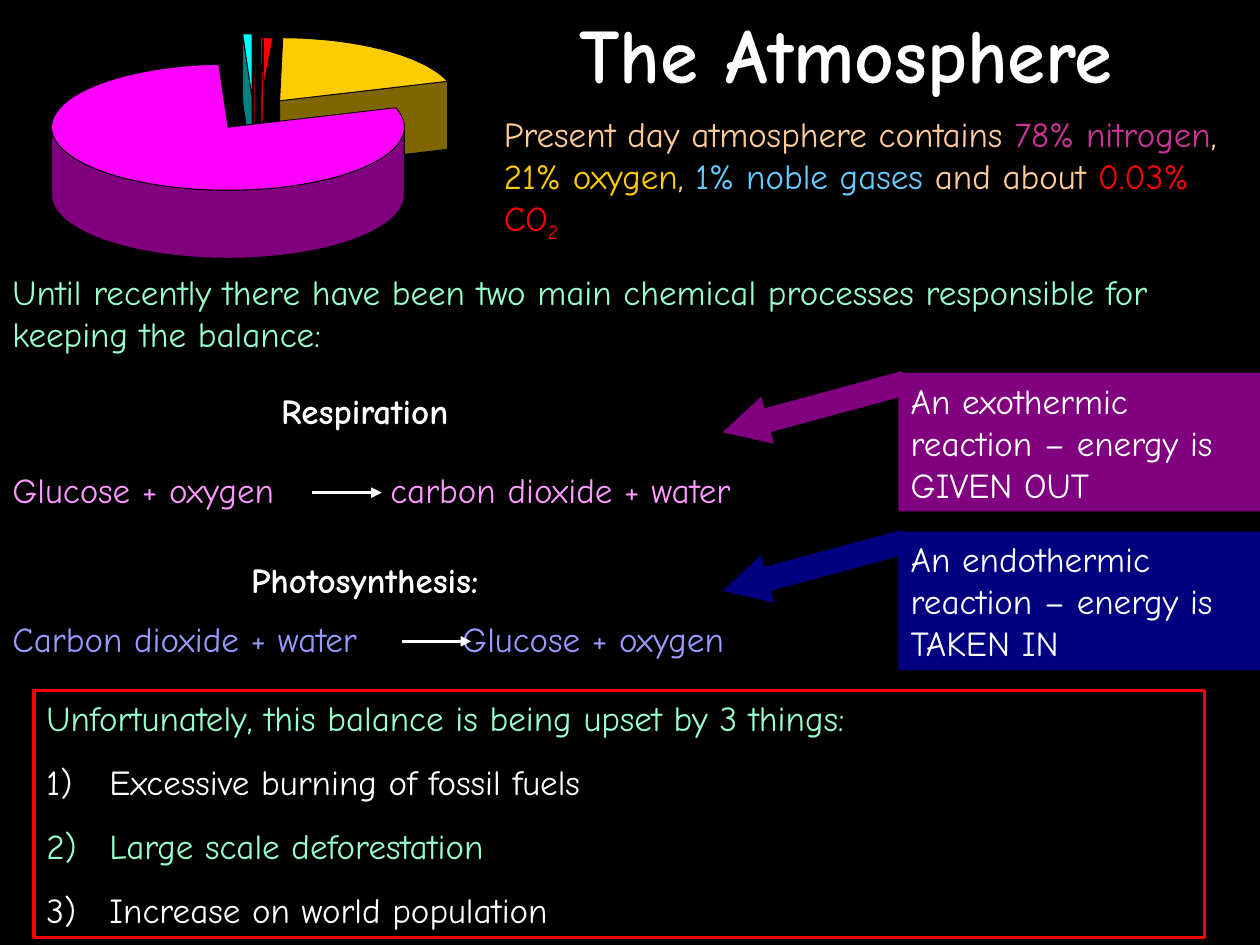
import math
from lxml import etree
from pptx import Presentation, util as u
from pptx.dml import color
from pptx.enum import dml, shapes, text
from pptx.oxml import ns

COLORS = {
    "black": "000000", "white": "FFFFFF", "peach": "FFCC99", "plum": "CC3399",
    "gold": "FFCC00", "dark_gold": "806600", "sky": "66CCFF", "red": "FF0000",
    "dark_red": "800000", "indigo": "1A1A66", "cyan": "00FFFF", "teal": "008080",
    "magenta": "FF00FF", "purple": "800080", "navy": "000080", "mint": "99FFCC",
    "lilac": "9999FF", "pink": "FF99FF",
}
PAINT = {name: color.RGBColor.from_string(code) for name, code in COLORS.items()}

deck = Presentation()
deck.slide_width, deck.slide_height = u.Inches(10), u.Inches(7.5)
page = deck.slides.add_slide(deck.slide_layouts[6])
page.background.fill.solid()
page.background.fill.fore_color.rgb = PAINT["black"]
CELL = deck.slide_width / 100
FRAME = {"word_wrap": True, "auto_size": text.MSO_AUTO_SIZE.NONE,
         "vertical_anchor": text.MSO_ANCHOR.TOP}


def grid(*cells):
    return [round(value * CELL) for value in cells]


def write(box, paragraphs, align=text.PP_ALIGN.LEFT, anchor=text.MSO_ANCHOR.TOP, **style):
    frame = box.text_frame
    for name, value in {**FRAME, "vertical_anchor": anchor}.items():
        setattr(frame, name, value)
    for index, spans in enumerate(paragraphs):
        para = frame.add_paragraph() if index else frame.paragraphs[0]
        para.alignment = align
        if index:
            para.space_before = u.Pt(12.5)
        for words, shade, *offset in spans:
            span = para.add_run()
            span.text = words
            span.font.color.rgb = PAINT[shade]
            for name, value in {"name": "Comic Neue", "size": u.Pt(20), **style}.items():
                setattr(span.font, name, value)
            if offset:
                span.font._element.set("baseline", offset[0])


DEPTH, RADIUS_X, RADIUS_Y = 5.4, 14, 5
main, oxygen, carbon, noble = (18.1, 10.1), (22.2, 8), (20.7, 8), (20, 7.7)
arcs = {}
for name, (x, y), start, end in [
    ("nitrogen", main, -18, 267), ("front", main, 0, 180), ("oxygen", oxygen, -89, -18),
    ("carbon", carbon, -90, -86), ("noble", noble, -93, -90),
]:
    steps = max(2, (end - start) // 3)
    angles = [math.radians(start + (end - start) * step / steps) for step in range(steps + 1)]
    arcs[name] = [(x + RADIUS_X * math.cos(a), y + RADIUS_Y * math.sin(a)) for a in angles]

walls = {}
for name, top in [
    ("trace", [(20.1, 7.7), (20.3, 2.7)]), ("argon", [(20.7, 7.1), (20.9, 2.1)]),
    ("carbon", [carbon, (20.9, 3)]), ("noble", [noble, arcs["noble"][0]]),
    ("oxygen", [oxygen, arcs["oxygen"][-1]]), ("front", arcs["front"]),
]:
    walls[name] = top + [(x, y + DEPTH) for x, y in reversed(top)]

for outline, shade in [
    (walls["trace"], "dark_red"), (arcs["carbon"] + [carbon], "red"),
    (walls["argon"], "indigo"), (walls["carbon"], "red"), (walls["noble"], "teal"),
    (arcs["noble"] + [noble], "cyan"), (walls["oxygen"], "dark_gold"),
    (arcs["oxygen"] + [oxygen], "gold"), (walls["front"], "purple"),
    (arcs["nitrogen"] + [main], "magenta"),
]:
    points = [grid(*point) for point in outline]
    builder = page.shapes.build_freeform(*points[0])
    builder.add_line_segments(points[1:], close=True)
    piece = builder.convert_to_shape()
    piece.shadow.inherit = False
    piece.fill.solid()
    piece.fill.fore_color.rgb = PAINT[shade]
    piece.line.color.rgb = PAINT["black"]
    piece.line.width = u.Pt(0.5)

title = page.shapes.add_textbox(*grid(34.3, 0, 65.7, 8.4))
write(title, [[("The Atmosphere", "white")]], text.PP_ALIGN.CENTER,
      text.MSO_ANCHOR.MIDDLE, size=u.Pt(44), bold=True)

contents = page.shapes.add_textbox(*grid(39, 8.4, 61, 11.5))
write(contents, [[
    ("Present day atmosphere contains ", "peach"), ("78% nitrogen", "plum"), (", ", "peach"),
    ("21% oxygen", "gold"), (", ", "peach"), ("1% noble gases", "sky"),
    (" and about ", "peach"), ("0.03% CO", "red"), ("2", "red", "-25000"),
]])

balance = page.shapes.add_textbox(*grid(0, 21, 100, 7.7))
write(balance, [[("Until recently there have been two main chemical processes responsible "
                  "for keeping the balance:", "mint")]])

for words, place in [("Photosynthesis:", (0, 43.8, 57.9, 4.4)),
                     ("Respiration", (13, 30.4, 31.9, 4.4))]:
    heading = page.shapes.add_textbox(*grid(*place))
    write(heading, [[(words, "white")]], text.PP_ALIGN.CENTER, bold=True)

for words, shade, top, arrow_left, tab in [
    ("Carbon dioxide + water\tGlucose + oxygen", "lilac", 48.5, 31.9, 35.7),
    ("Glucose + oxygen\tcarbon dioxide + water", "pink", 36.7, 24.8, 30),
]:
    equation = page.shapes.add_textbox(*grid(0, top, 73.6, 4.4))
    write(equation, [[(words, shade)]])
    settings = equation.text_frame.paragraphs[0]._p.get_or_add_pPr()
    stops = etree.SubElement(settings, ns.qn("a:tabLst"))
    etree.SubElement(stops, ns.qn("a:tab"), pos=str(round(tab * CELL)), algn="l")
    arrow = page.shapes.add_connector(
        shapes.MSO_CONNECTOR.STRAIGHT,
        *grid(arrow_left, top + 2.4, arrow_left + 5.5, top + 2.4))
    arrow.line.color.rgb = PAINT["white"]
    arrow.line.width = u.Pt(2)
    etree.SubElement(arrow.line._get_or_add_ln(), ns.qn("a:tailEnd"), type="triangle")
    etree.SubElement(arrow._element.spPr, ns.qn("a:effectLst"))

causes = page.shapes.add_shape(shapes.MSO_SHAPE.RECTANGLE, *grid(2.7, 54.8, 92.9, 19.6))
causes.shadow.inherit = False
causes.fill.background()
causes.line.color.rgb = PAINT["red"]
causes.line.width = u.Pt(2)
write(causes, [
    [("Unfortunately, this balance is being upset by 3 things:", "mint")],
    [("Excessive burning of fossil fuels", "white")],
    [("Large scale deforestation", "mint")],
    [("Increase on world population", "white")],
])
for index, para in enumerate(causes.text_frame.paragraphs):
    settings = para._p.get_or_add_pPr()
    settings.set("marL", str(u.Inches(0.5)))
    settings.set("indent", str(u.Inches(-0.5)))
    if index:
        tint = etree.SubElement(settings, ns.qn("a:buClr"))
        etree.SubElement(tint, ns.qn("a:srgbClr"), val=str(para.runs[0].font.color.rgb))
        etree.SubElement(settings, ns.qn("a:buFont"), typeface="Comic Neue")
        etree.SubElement(settings, ns.qn("a:buAutoNum"), type="arabicParenR")

for words, shade, top in [
    ("An exothermic reaction – energy is GIVEN OUT", "purple", 29.6),
    ("An endothermic reaction – energy is TAKEN IN", "navy", 42.2),
]:
    note = page.shapes.add_shape(shapes.MSO_SHAPE.RECTANGLE, *grid(71.3, top, 28.7, 11))
    pointer = page.shapes.add_shape(
        shapes.MSO_SHAPE.LEFT_ARROW, *grid(57.1, top + 0.8, 15, 3.9))
    pointer.rotation = 344.9
    pointer.adjustments[1] = 0.95
    for part in (note, pointer):
        part.shadow.inherit = False
        part.fill.solid()
        part.fill.fore_color.rgb = PAINT[shade]
        part.line.fill.background()
    write(note, [[(words, "white")]])

deck.save("out.pptx")
